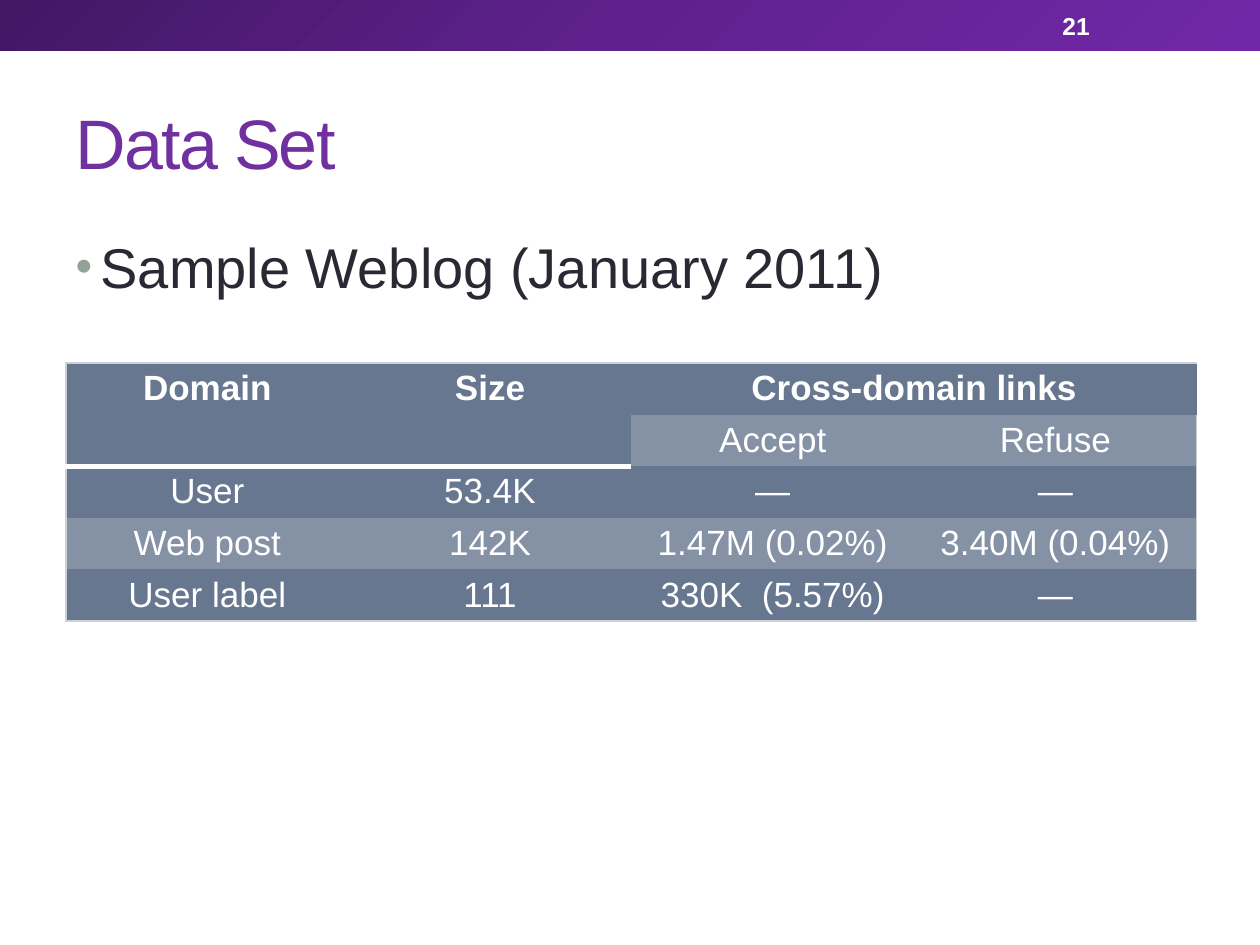
from copy import deepcopy
from dataclasses import dataclass

from lxml import etree
from pptx import Presentation
from pptx.dml.color import RGBColor
from pptx.enum.shapes import MSO_SHAPE
from pptx.enum.text import MSO_ANCHOR, MSO_AUTO_SIZE, PP_ALIGN
from pptx.oxml.ns import qn
from pptx.util import Emu, Pt

RECTANGLE = MSO_SHAPE.RECTANGLE
MIDDLE, TOP = MSO_ANCHOR.MIDDLE, MSO_ANCHOR.TOP
LEFT, CENTER = PP_ALIGN.LEFT, PP_ALIGN.CENTER
NO_FIT = MSO_AUTO_SIZE.NONE

FONT = "Arial"
PX_PER_INCH = 126
PLAIN_TABLE = "{2D5ABB26-0587-4C30-8999-92F81FD0307C}"
COLORS = {
    "bar_start": "431764",
    "bar_middle": "5F218E",
    "bar_end": "7128A8",
    "title": "7030A0",
    "body": "292934",
    "bullet": "93A299",
    "white": "FFFFFF",
    "row_dark": "677790",
    "row_light": "8592A6",
    "edge": "CDD0D6",
}
ROWS = [
    ["Domain", "Size", "Cross-domain links", ""],
    ["", "", "Accept", "Refuse"],
    ["User", "53.4K", "—", "—"],
    ["Web post", "142K", "1.47M (0.02%)", "3.40M (0.04%)"],
    ["User label", "111", "330K  (5.57%)", "—"],
]
MERGES = [((0, 0), (1, 0)), ((0, 1), (1, 1)), ((0, 2), (0, 3))]


@dataclass(frozen=True)
class Area:
    left: int
    top: int
    width: int
    height: int

    def emu(self) -> tuple:
        return px(self.left), px(self.top), px(self.width), px(self.height)


@dataclass(frozen=True)
class TextStyle:
    size: int
    color: str
    bold: bool = False
    align: int = LEFT
    tracking: int = 0


TITLE = TextStyle(40, "title", tracking=-100)
BODY = TextStyle(32, "body")
NUMBER = TextStyle(14, "white", bold=True)
HEADING = TextStyle(20, "white", bold=True, align=CENTER)
ENTRY = TextStyle(20, "white", align=CENTER)


def px(length: int) -> Emu:
    return Emu(round(length * 914400 / PX_PER_INCH))


def rgb(name: str) -> RGBColor:
    return RGBColor.from_string(COLORS[name])


def add_text(para, text: str, style: TextStyle) -> None:
    para.alignment = style.align
    para.space_before = Pt(0)
    span = para.add_run()
    span.text = text
    span.font.name = FONT
    span.font.size = Pt(style.size)
    span.font.bold = style.bold
    span.font.color.rgb = rgb(style.color)
    if style.tracking:
        span.font._element.set("spc", str(style.tracking))


def fill_box(box, area: Area, anchor: int, text: str, style: TextStyle) -> None:
    box.left, box.top, box.width, box.height = area.emu()
    frame = box.text_frame
    frame.word_wrap = True
    frame.auto_size = NO_FIT
    frame.vertical_anchor = anchor
    add_text(frame.paragraphs[0], text, style)


def add_bullet(para, color: str, percent: int, indent: int) -> None:
    properties = para._p.get_or_add_pPr()
    properties.set("marL", str(px(indent)))
    properties.set("indent", str(-px(indent)))
    tint = etree.SubElement(properties, qn("a:buClr"))
    etree.SubElement(tint, qn("a:srgbClr"), val=COLORS[color])
    etree.SubElement(properties, qn("a:buSzPct"), val=str(percent * 1000))
    etree.SubElement(properties, qn("a:buFont"), typeface=FONT)
    etree.SubElement(properties, qn("a:buChar"), char="•")


def add_bar(page, area: Area) -> None:
    bar = page.shapes.add_shape(RECTANGLE, *area.emu())
    bar.shadow.inherit = False
    bar.line.fill.background()
    bar.fill.gradient()
    bar.fill.gradient_angle = 315
    first = bar.fill.gradient_stops[0]._gs
    first.addnext(deepcopy(first))
    names = ["bar_start", "bar_middle", "bar_end"]
    for index, (stop, name) in enumerate(zip(bar.fill.gradient_stops, names)):
        stop.position = index / 2
        stop.color.rgb = rgb(name)


def add_border(cell, side: str, color: str, points: float) -> None:
    line = etree.SubElement(
        cell._tc.get_or_add_tcPr(), qn(f"a:ln{side}"), w=str(Pt(points))
    )
    solid = etree.SubElement(line, qn("a:solidFill"))
    etree.SubElement(solid, qn("a:srgbClr"), val=COLORS[color])


def add_borders(cell, row: int, column: int) -> None:
    outer = {
        "L": column == 0,
        "R": column == len(ROWS[0]) - 1,
        "T": row == 0,
        "B": row == len(ROWS) - 1,
    }
    for side, on_edge in outer.items():
        if on_edge:
            add_border(cell, side, "edge", 0.75)
    if row < 2 and column < 2:
        add_border(cell, "B", "white", 3.5)


def add_data_table(page, area: Area) -> None:
    frame = page.shapes.add_table(len(ROWS), len(ROWS[0]), *area.emu())
    table = frame.table
    table._tbl.tblPr.find(qn("a:tableStyleId")).text = PLAIN_TABLE
    for start, end in MERGES:
        table.cell(*start).merge(table.cell(*end))
    for row, texts in enumerate(ROWS):
        for column, text in enumerate(texts):
            cell = table.cell(row, column)
            add_borders(cell, row, column)
            light = row % 2 == 1 and not (row == 1 and column < 2)
            cell.fill.solid()
            cell.fill.fore_color.rgb = rgb("row_light" if light else "row_dark")
            cell.margin_top, cell.margin_bottom = px(6), px(4)
            if text:
                style = HEADING if row == 0 else ENTRY
                add_text(cell.text_frame.paragraphs[0], text, style)


def main() -> None:
    deck = Presentation()
    deck.slide_width, deck.slide_height = px(1260), px(945)
    page = deck.slides.add_slide(deck.slide_layouts[1])
    add_bar(page, Area(0, 0, 1260, 51))
    fill_box(page.shapes.title, Area(63, 73, 1134, 136), MIDDLE, "Data Set", TITLE)
    body = page.placeholders[1]
    add_bullet(body.text_frame.paragraphs[0], "bullet", 85, 25)
    fill_box(body, Area(63, 226, 1134, 666), TOP, "Sample Weblog (January 2011)", BODY)
    number_area = Area(1050, 3, 147, 45)
    number = page.shapes.add_textbox(*number_area.emu())
    fill_box(number, number_area, MIDDLE, "21", NUMBER)
    add_data_table(page, Area(66, 363, 1131, 258))
    deck.save("out.pptx")


if __name__ == "__main__":
    main()
